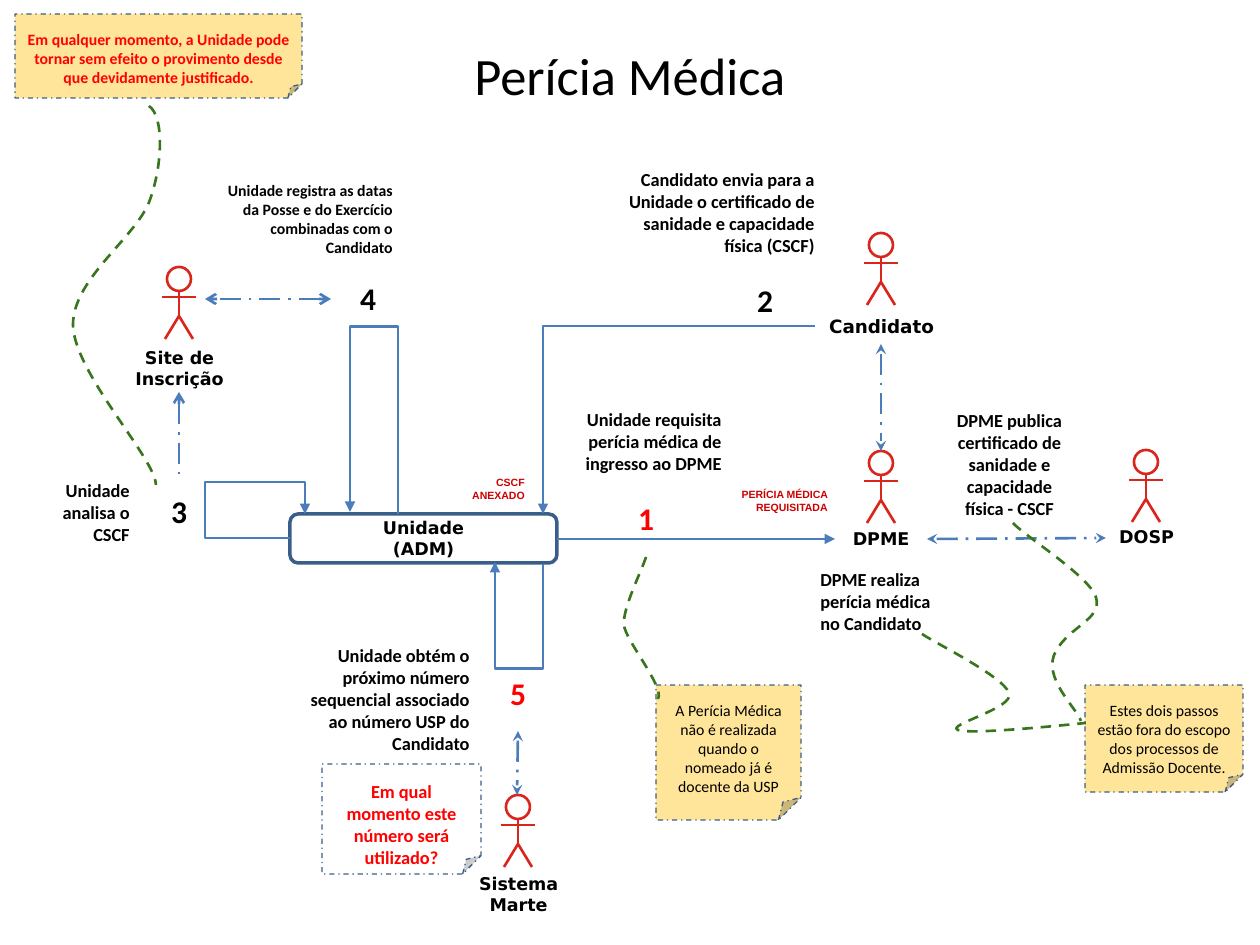
from dataclasses import dataclass
from lxml.etree import SubElement
from pptx import Presentation
from pptx.dml.color import RGBColor
from pptx.enum.dml import MSO_LINE
from pptx.enum.shapes import MSO_CONNECTOR, MSO_SHAPE
from pptx.enum.text import MSO_ANCHOR, PP_ALIGN
from pptx.oxml.ns import qn
from pptx.util import Pt

SCALE = 914400 / 126
LEFT, MID, RIGHT = PP_ALIGN.LEFT, PP_ALIGN.CENTER, PP_ALIGN.RIGHT


def px(*nums):
    return [round(num * SCALE) for num in nums]


@dataclass(frozen=True)
class Theme:
    body: str = "Calibri"
    label: str = "DejaVu Sans"
    tag: str = "Arial"
    black: str = "000000"
    white: str = "FFFFFF"
    red: str = "FF0000"
    dark: str = "CC0000"
    actor: str = "DA251D"
    blue: str = "4A7DBA"
    navy: str = "395E89"
    green: str = "38761D"
    sand: str = "FFE599"
    title: float = 30
    digit: float = 18
    step: float = 10.5
    name: float = 10
    note: float = 9
    small: float = 6
    thin: float = 0.75
    thick: float = 1.5
    frame: float = 2


class Board:
    def __init__(self, slide, theme):
        self.slide = slide
        self.theme = theme

    def style(self, frame, words, size, color, font, align, bold=True):
        frame.word_wrap = True
        frame.text = words
        for par in frame.paragraphs:
            par.alignment = align
            for run in par.runs:
                run.font.size = Pt(size)
                run.font.bold = bold
                run.font.name = font
                run.font.color.rgb = RGBColor.from_string(color)

    def stroke(self, shape, color, width, dash=None):
        shape.line.color.rgb = RGBColor.from_string(color)
        shape.line.width = Pt(width)
        if dash:
            shape.line.dash_style = dash

    def shape(self, kind, box, fill, color, width, dash=None, home=None):
        item = (home or self.slide).shapes.add_shape(kind, *px(*box))
        item.shadow.inherit = False
        if fill:
            item.fill.solid()
            item.fill.fore_color.rgb = RGBColor.from_string(fill)
        else:
            item.fill.background()
        self.stroke(item, color, width, dash)
        return item

    def title(self, words, box):
        item = self.slide.shapes.title
        item.left, item.top, item.width, item.height = px(*box)
        item.text_frame.vertical_anchor = MSO_ANCHOR.MIDDLE
        self.style(item.text_frame, words, self.theme.title, self.theme.black,
                   self.theme.body, MID, False)

    def text(self, box, words, size, align=RIGHT, color=None, font=None,
             top=6, home=None):
        item = (home or self.slide).shapes.add_textbox(*px(*box))
        item.text_frame.margin_top = px(top)[0]
        self.style(item.text_frame, words, size, color or self.theme.black,
                   font or self.theme.body, align)

    def digit(self, left, top, words, color=None):
        self.text((left, top, 58, 50), words, self.theme.digit, MID, color)

    def unit(self, box, words):
        item = self.shape(MSO_SHAPE.ROUNDED_RECTANGLE, box, None,
                          self.theme.navy, self.theme.frame)
        item.text_frame.vertical_anchor = MSO_ANCHOR.MIDDLE
        self.style(item.text_frame, words, self.theme.name, self.theme.black,
                   self.theme.label, MID)

    def note(self, box, words, size, fill, color, bold):
        item = self.shape(MSO_SHAPE.FOLDED_CORNER, box, fill, self.theme.navy,
                          self.theme.thin, MSO_LINE.DASH_DOT)
        item.text_frame.vertical_anchor = MSO_ANCHOR.TOP
        item.text_frame.margin_top = px(16)[0]
        self.style(item.text_frame, words, size, color, self.theme.body, MID, bold)

    def line(self, ends, color=None, dash=None, head=None, tail=None,
             kind=MSO_CONNECTOR.STRAIGHT, home=None):
        item = (home or self.slide).shapes.add_connector(kind, *px(*ends))
        self.stroke(item, color or self.theme.blue, self.theme.thick, dash)
        props = item.element.spPr
        for tag, tip in (("a:headEnd", head), ("a:tailEnd", tail)):
            if tip:
                SubElement(props.find(qn("a:ln")), qn(tag)).set("type", tip)
        SubElement(props, qn("a:effectLst"))
        return item

    def elbow(self, box, turn, flip, bends, *ratios):
        left, top, wide, high = box
        item = self.line((left, top, left + wide, top + high), tail="triangle",
                         kind=MSO_CONNECTOR.ELBOW)
        props = item.element.spPr
        frame = props.find(qn("a:xfrm"))
        frame.set("rot", str(turn * 60000))
        frame.set(flip, "1")
        geom = props.find(qn("a:prstGeom"))
        geom.set("prst", f"bentConnector{bends}")
        for spot, ratio in enumerate(ratios, 1):
            guide = SubElement(geom.find(qn("a:avLst")), qn("a:gd"))
            guide.set("name", f"adj{spot}")
            guide.set("fmla", f"val {round(ratio * 100000)}")

    def curve(self, start, *knots):
        pen = self.slide.shapes.build_freeform(*start, scale=SCALE)
        pen.add_line_segments(knots, close=False)
        item = pen.convert_to_shape()
        item.shadow.inherit = False
        item.fill.background()
        self.stroke(item, self.theme.green, self.theme.thick, MSO_LINE.DASH)
        route = next(item.element.spPr.iter(qn("a:path")))
        lines = route.findall(qn("a:lnTo"))
        for spot in range(0, len(lines), 3):
            bend = SubElement(route, qn("a:cubicBezTo"))
            for part in lines[spot:spot + 3]:
                bend.append(part[0])
                route.remove(part)

    def actor(self, mid, top, words, drop, wide, high=34, size=None):
        group = self.slide.shapes.add_group_shape()
        self.shape(MSO_SHAPE.OVAL, (mid - 12, top, 24, 24), self.theme.white,
                   self.theme.actor, self.theme.thick, home=group)
        neck, arm, hip, foot = (top + gap for gap in (24, 30, 49, 72))
        limbs = [(mid, neck, mid, hip)]
        for side in (-1, 1):
            limbs.append((mid + 17 * side, arm, mid, arm))
            limbs.append((mid, hip, mid + 14 * side, foot))
        for limb in limbs:
            self.line(limb, self.theme.actor, home=group)
        self.text((mid - wide // 2, top + drop, wide, high), words,
                  size or self.theme.name, MID, font=self.theme.label, home=group)


def main():
    deck = Presentation()
    deck.slide_width, deck.slide_height = px(1260, 945)
    theme = Theme()
    board = Board(deck.slides.add_slide(deck.slide_layouts[5]), theme)
    board.title("Perícia Médica", (63, 38, 1134, 73))
    board.unit((290, 514, 267, 49), "Unidade\n(ADM)")

    board.actor(1146, 450, "DOSP", 70, 81)
    board.actor(881, 233, "Candidato", 76, 131, 35, theme.step)
    board.actor(881, 451, "DPME", 71, 92)
    board.actor(518, 795, "Sistema\vMarte", 72, 105, 49)
    board.actor(179, 267, "Site de\nInscrição", 74, 131, 49)

    board.line((557, 539, 835, 539), tail="triangle")
    for ends, head, tail in (
        ((927, 539, 1106, 538), "stealth", "stealth"),
        ((881, 344, 881, 451), "stealth", "stealth"),
        ((518, 731, 517, 795), "stealth", "stealth"),
        ((179, 392, 179, 475), "arrow", None),
        ((331, 299, 205, 299), "arrow", "arrow"),
    ):
        board.line(ends, dash=MSO_LINE.LONG_DASH_DOT, head=head, tail=tail)
    board.elbow((290, 514, 15, 24), 180, "flipH", 4, -5.67, 2.33)
    board.elbow((543, 326, 272, 188), 180, "flipV", 2)
    board.elbow((518, 539, 2, 48), 90, "flipH", 3, -52.5)
    board.elbow((373, 489, 2, 48), 270, "flipV", 3, 94.5)

    board.digit(617, 493, "1", theme.red)
    board.digit(736, 275, "2")
    board.digit(150, 486, "3")
    board.digit(339, 273, "4")
    board.digit(489, 668, "5", theme.red)

    for box, words, align, top in (
        ((558, 402, 176, 79), "Unidade requisita perícia médica de ingresso ao DPME", RIGHT, 6),
        ((937, 403, 145, 123),
         "DPME publica certificado de sanidade e capacidade física - CSCF", MID, 6),
        ((808, 562, 145, 79), "DPME realiza perícia médica no Candidato", LEFT, 6),
        ((610, 155, 217, 79),
         "Candidato envia para a Unidade o certificado de sanidade e capacidade física (CSCF)",
         RIGHT, 13),
        ((282, 631, 200, 125),
         "Unidade obtém o próximo número sequencial associado ao número USP do Candidato",
         RIGHT, 13),
        ((35, 473, 107, 79), "Unidade analisa o CSCF", RIGHT, 6),
    ):
        board.text(box, words, theme.step, align, top=top)
    board.text((203, 175, 202, 87),
               "Unidade registra as datas da Posse e do Exercício combinadas com o Candidato",
               theme.note)
    for box, words in (((728, 475, 112, 58), "PERÍCIA MÉDICA REQUISITADA"),
                       ((445, 463, 92, 42), "CSCF ANEXADO")):
        board.text(box, words, theme.small, RIGHT, theme.dark, theme.tag, 13)

    for box, words, size, fill, color, bold in (
        ((1085, 685, 158, 107),
         "Estes dois passos estão fora do escopo dos processos de Admissão Docente.",
         theme.note, theme.sand, theme.black, False),
        ((656, 685, 145, 135),
         "A Perícia Médica não é realizada quando o nomeado já é docente da USP",
         theme.note, theme.sand, theme.black, False),
        ((322, 764, 159, 110), "Em qual momento este número será utilizado?",
         theme.step, theme.white, theme.red, True),
        ((15, 14, 287, 84),
         "Em qualquer momento, a Unidade pode tornar sem efeito o provimento "
         "desde que devidamente justificado.",
         theme.note, theme.sand, theme.red, True),
    ):
        board.note(box, words, size, fill, color, bold)

    board.curve((922, 634), (937, 644), (1004, 677), (1009, 693), (1016, 708),
                (945, 725), (958, 730), (970, 735), (1065, 725), (1086, 723))
    board.curve((1013, 523), (1026, 537), (1089, 576), (1096, 597), (1103, 619),
                (1070, 626), (1056, 651), (1041, 677), (1077, 708), (1081, 721))
    board.curve((646, 557), (643, 568), (622, 609), (624, 625), (625, 640),
                (665, 687), (658, 699))
    board.curve((149, 106), (164, 116), (163, 164), (150, 200), (137, 237),
                (73, 278), (73, 325), (74, 373), (156, 459), (156, 485))
    deck.save("out.pptx")


if __name__ == "__main__":
    main()
